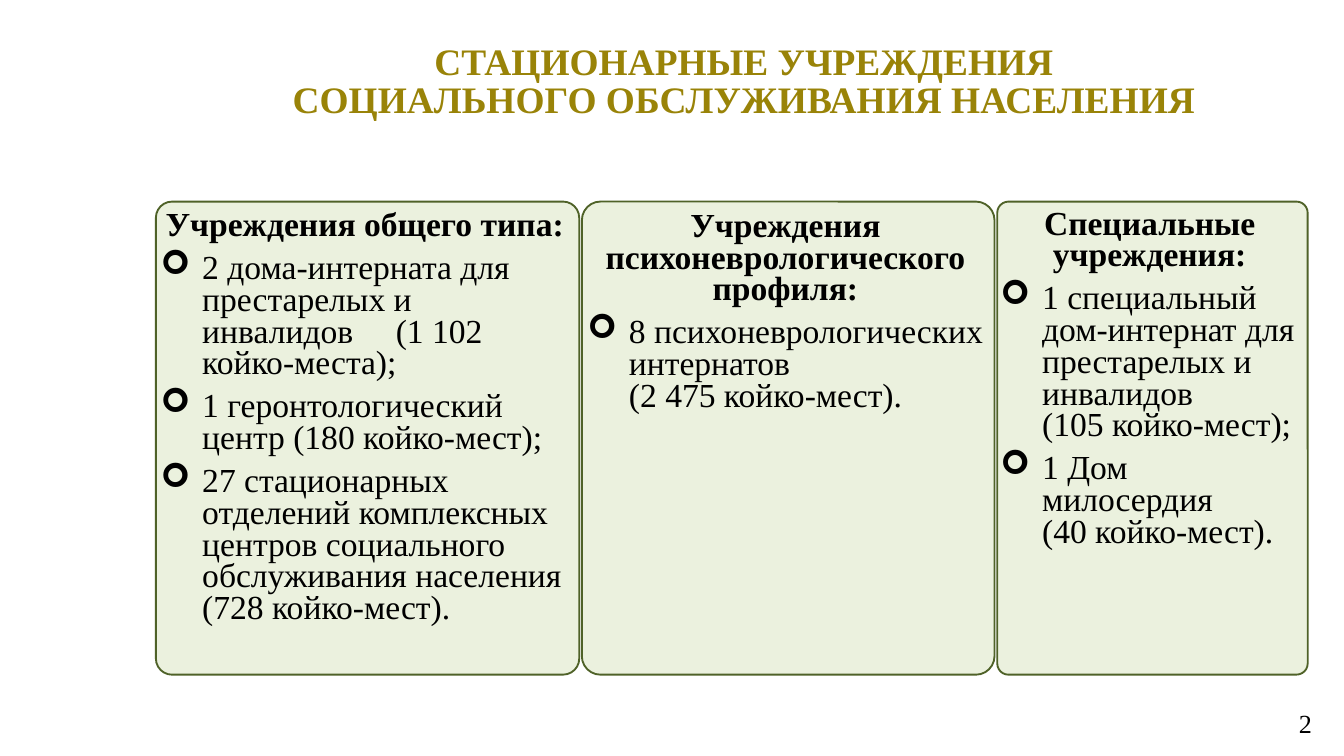
"""Slide listing the residential social service institutions in three cards."""
from dataclasses import dataclass

import lxml.etree
import pptx
import pptx.dml.color
import pptx.enum.shapes
import pptx.enum.text
import pptx.oxml.ns
import pptx.util

Inches = pptx.util.Inches
Pt = pptx.util.Pt
Align = pptx.enum.text.PP_ALIGN
Anchor = pptx.enum.text.MSO_ANCHOR
qn = pptx.oxml.ns.qn

FONT = "Times New Roman"
SLIDE_WIDTH = 10
SLIDE_HEIGHT = SLIDE_WIDTH * 9 / 16
CARD_LEFT, CARD_TOP, CARD_HEIGHT, CARD_GAP = 1.16, 1.5, 3.52, 0.02
INDENT = 0.31
TAB_STOP = 1.75


@dataclass
class Card:
    width: float
    corner: float
    heading: str
    items: list[str]


CARDS = [
    Card(3.15, 0.038, "Учреждения общего типа:", [
        "2 дома-интерната для престарелых и инвалидов\t(1 102 койко-места);",
        "1 геронтологический центр (180 койко-мест);",
        "27 стационарных отделений комплексных центров социального "
        "обслуживания населения (728 койко-мест).",
    ]),
    Card(3.07, 0.045, "Учреждения психоневрологического профиля:", [
        "8 психоневрологических интернатов \n(2 475 койко-мест).",
    ]),
    Card(2.31, 0.036, "Специальные учреждения:", [
        "1 специальный дом-интернат для престарелых и инвалидов\n(105 койко-мест);",
        "1 Дом милосердия \n(40 койко-мест).",
    ]),
]


def rgb(value: str) -> pptx.dml.color.RGBColor:
    return pptx.dml.color.RGBColor.from_string(value)


def add_text(p, text: str, size: float, color: str = "000000", bold: bool = False) -> None:
    for i, line in enumerate(text.split("\n")):
        if i:
            p.add_line_break()
        r = p.add_run()
        r.text = line
        r.font.name = FONT
        r.font.size = Pt(size)
        r.font.bold = bold
        r.font.color.rgb = rgb(color)


def add_label(s, left: float, top: float, width: float, height: float, align: Align):
    tf = s.shapes.add_textbox(Inches(left), Inches(top), Inches(width), Inches(height)).text_frame
    tf.word_wrap = True
    tf.vertical_anchor = Anchor.MIDDLE
    p = tf.paragraphs[0]
    p.alignment = align
    return p


def set_bullet(p, tabbed: bool) -> None:
    pPr = p._p.get_or_add_pPr()
    pPr.set("marL", str(Inches(INDENT)))
    pPr.set("indent", str(Inches(-INDENT)))
    lxml.etree.SubElement(pPr, qn("a:buFont"), typeface="Wingdings", charset="2")
    lxml.etree.SubElement(pPr, qn("a:buChar"), char="➢")
    if tabbed:
        tabs = lxml.etree.SubElement(pPr, qn("a:tabLst"))
        lxml.etree.SubElement(tabs, qn("a:tab"), pos=str(Inches(TAB_STOP)), algn="l")


def add_card(s, card: Card, left: float) -> None:
    sp = s.shapes.add_shape(
        pptx.enum.shapes.MSO_SHAPE.ROUNDED_RECTANGLE,
        Inches(left), Inches(CARD_TOP), Inches(card.width), Inches(CARD_HEIGHT))
    sp.adjustments[0] = card.corner
    sp.shadow.inherit = False
    sp.fill.solid()
    sp.fill.fore_color.rgb = rgb("EBF1DE")
    sp.line.color.rgb = rgb("4F6228")
    sp.line.width = Pt(1)
    tf = sp.text_frame
    tf.word_wrap = True
    tf.vertical_anchor = Anchor.TOP
    tf.margin_left = 0
    tf.margin_top = tf.margin_right = Inches(0.04)
    tf.margin_bottom = Inches(0.05)
    for i, text in enumerate([card.heading, *card.items]):
        p = tf.add_paragraph() if i else tf.paragraphs[0]
        p.alignment = Align.LEFT if i else Align.CENTER
        p.line_spacing = Pt(17)
        p.space_after = Pt(6)
        if i:
            set_bullet(p, "\t" in text)
        add_text(p, text, 18, bold=i == 0)


def main() -> None:
    prs = pptx.Presentation()
    prs.slide_width, prs.slide_height = Inches(SLIDE_WIDTH), Inches(SLIDE_HEIGHT)
    s = prs.slides.add_slide(prs.slide_layouts[6])

    title = add_label(s, 1.14, 0.26, 8.86, 0.72, Align.CENTER)
    title.line_spacing = Pt(20)
    add_text(title, "СТАЦИОНАРНЫЕ УЧРЕЖДЕНИЯ \nСОЦИАЛЬНОГО ОБСЛУЖИВАНИЯ НАСЕЛЕНИЯ ",
             20, "998308", bold=True)

    left = CARD_LEFT
    for card in CARDS:
        add_card(s, card, left)
        left += card.width + CARD_GAP

    add_text(add_label(s, 6.65, 5.18, 3.21, 0.4, Align.RIGHT), "2", 14)
    prs.save("out.pptx")


if __name__ == "__main__":
    main()
